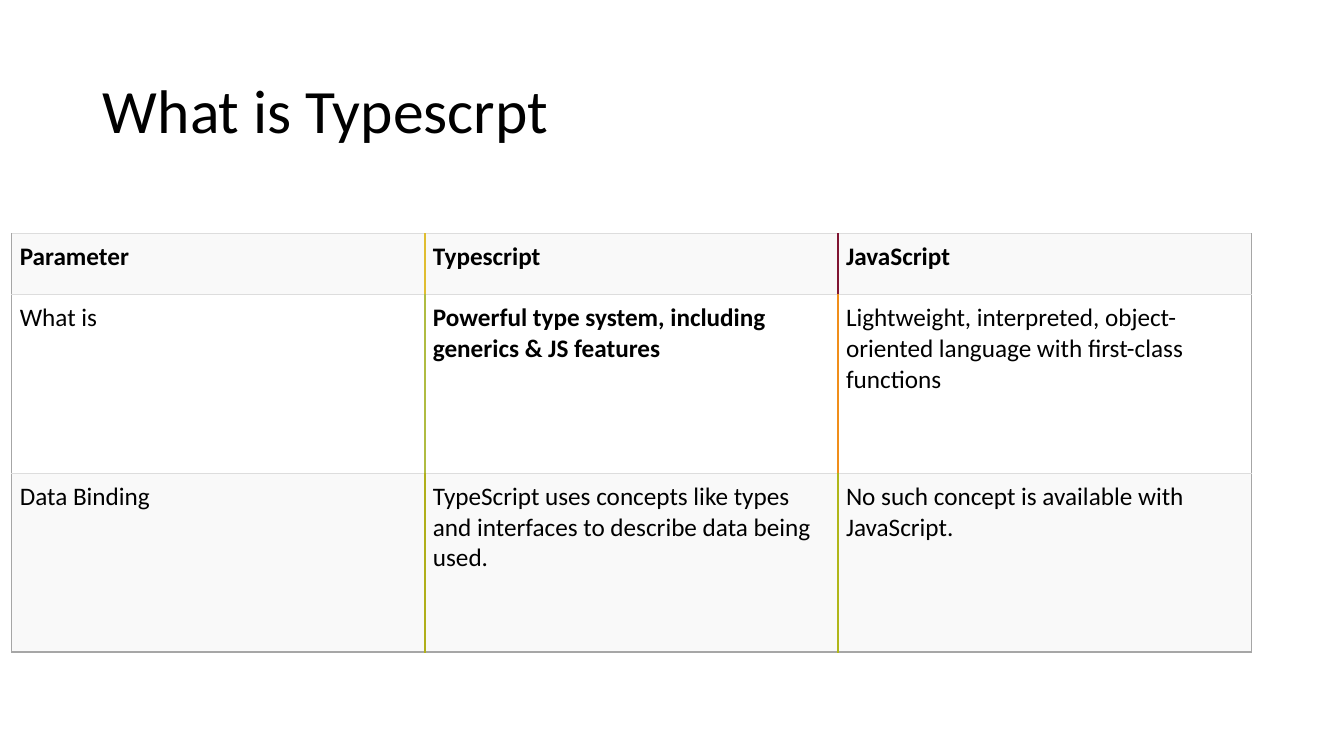
from dataclasses import dataclass

from lxml import etree
from pptx import Presentation
from pptx.dml.color import RGBColor
from pptx.enum import text
from pptx.oxml import ns
from pptx.util import Cm, Pt

FONT = "Calibri"
BLACK = RGBColor(0x00, 0x00, 0x00)
WHITE = RGBColor(0xFF, 0xFF, 0xFF)
BAND = RGBColor(0xF9, 0xF9, 0xF9)
RULE = RGBColor(0xDD, 0xDD, 0xDD)
FRAME = RGBColor(0xA6, 0xA6, 0xA6)
GOLD = RGBColor(0xE0, 0xBD, 0x31)
WINE = RGBColor(0x80, 0x15, 0x32)
LIME = RGBColor(0xB0, 0xBC, 0x42)
ORANGE = RGBColor(0xF0, 0x8E, 0x1A)
OLIVE = RGBColor(0xB0, 0xAF, 0x1A)
MOSS = RGBColor(0xB0, 0xB6, 0x1A)

COLUMN_WIDTH = Cm(10.41)
CELL_MARGIN = Cm(0.2)


@dataclass(frozen=True)
class Row:
    height: Cm
    fill: RGBColor
    dividers: tuple[RGBColor, RGBColor]
    texts: tuple[str, str, str]
    bold: tuple[bool, bool, bool] = (False, False, False)


ROWS = [
    Row(Cm(1.54), BAND, (GOLD, WINE),
        ("Parameter", "Typescript", "JavaScript"), (True, True, True)),
    Row(Cm(4.5), WHITE, (LIME, ORANGE),
        ("What is",
         "Powerful type system, including generics & JS features",
         "Lightweight, interpreted, object-oriented language with first-class functions"),
        (False, True, False)),
    Row(Cm(4.5), BAND, (OLIVE, MOSS),
        ("Data Binding",
         "TypeScript uses concepts like types and interfaces to describe data being used.",
         "No such concept is available with JavaScript.")),
]


def add_span(para, words: str, size: float, bold: bool = False) -> None:
    span = para.add_run()
    span.text = words
    span.font.name = FONT
    span.font.size = Pt(size)
    span.font.bold = bold
    span.font.color.rgb = BLACK


def add_border(cell, side: str, color: RGBColor, width: float) -> None:
    properties = cell._tc.get_or_add_tcPr()
    line = etree.SubElement(properties, ns.qn(f"a:ln{side}"), w=str(Pt(width)))
    fill = etree.SubElement(line, ns.qn("a:solidFill"))
    etree.SubElement(fill, ns.qn("a:srgbClr"), val=str(color))


def fill_cell(cell, row: Row, column: int, is_last: bool) -> None:
    edges = (FRAME, *row.dividers, FRAME)
    add_border(cell, "L", edges[column], 1)
    add_border(cell, "R", edges[column + 1], 1)
    add_border(cell, "T", RULE, 0.75)
    add_border(cell, "B", FRAME if is_last else RULE, 1 if is_last else 0.75)
    cell.fill.solid()
    cell.fill.fore_color.rgb = row.fill
    cell.margin_left = cell.margin_right = CELL_MARGIN
    cell.margin_top = cell.margin_bottom = CELL_MARGIN
    cell.vertical_anchor = text.MSO_ANCHOR.TOP
    add_span(cell.text_frame.paragraphs[0], row.texts[column], 18, row.bold[column])


def add_comparison(page, rows: list[Row]) -> None:
    columns = len(rows[0].texts)
    height = sum(row.height for row in rows)
    table = page.shapes.add_table(len(rows), columns, Cm(0.3), Cm(5.89),
                                  COLUMN_WIDTH * columns, height).table
    table.first_row = table.horz_banding = False
    for column in table.columns:
        column.width = COLUMN_WIDTH
    for index, row in enumerate(rows):
        table.rows[index].height = row.height
        for column in range(columns):
            fill_cell(table.cell(index, column), row, column, index == len(rows) - 1)


deck = Presentation()
deck.slide_width, deck.slide_height = Cm(33.87), Cm(19.05)
page = deck.slides.add_slide(deck.slide_layouts.get_by_name("Title Only"))

# Title
title = page.shapes.title
title.left, title.top, title.width, title.height = Cm(2.34), Cm(1.01), Cm(29.21), Cm(3.68)
title.text_frame.vertical_anchor = text.MSO_ANCHOR.MIDDLE
heading = title.text_frame.paragraphs[0]
heading.alignment = text.PP_ALIGN.LEFT
heading.line_spacing = 0.9
add_span(heading, "What is Typescrpt", 44)

# Comparison table
add_comparison(page, ROWS)

deck.save("out.pptx")
